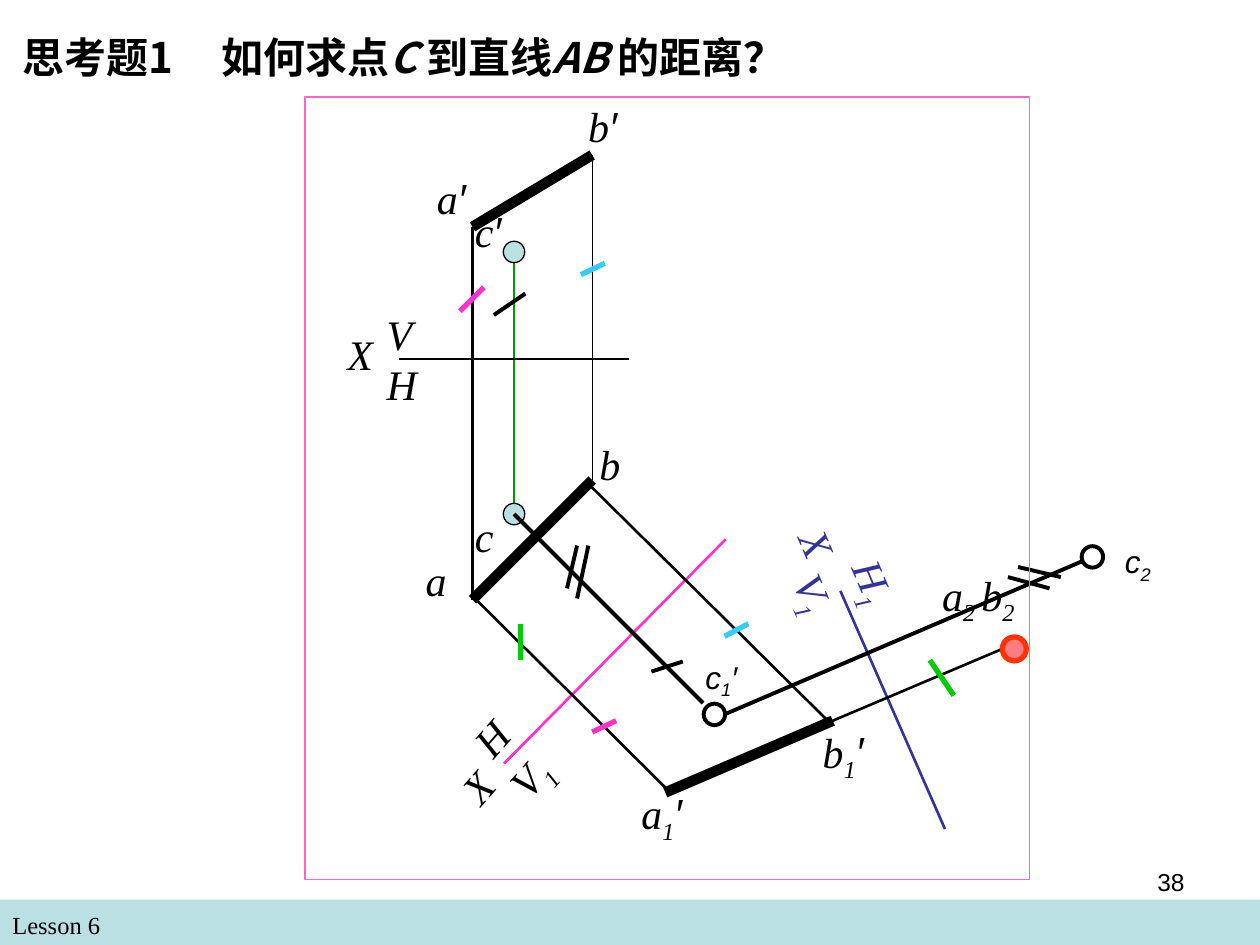
from itertools import groupby

from lxml import etree
from pptx import Presentation
from pptx.dml.color import RGBColor
from pptx.enum.shapes import MSO_CONNECTOR, MSO_SHAPE
from pptx.enum.text import MSO_ANCHOR, PP_ALIGN
from pptx.oxml.ns import qn
from pptx.util import Inches, Pt

STRAIGHT = MSO_CONNECTOR.STRAIGHT
OVAL, RECTANGLE = MSO_SHAPE.OVAL, MSO_SHAPE.RECTANGLE
TOP, LEFT, RIGHT = MSO_ANCHOR.TOP, PP_ALIGN.LEFT, PP_ALIGN.RIGHT
TITLE_ONLY = 5

COLORS = {
    "black": "000000", "white": "FFFFFF", "pale": "BBE0E3", "projector": "009900",
    "navy": "333399", "magenta": "FF33CC", "frame": "FF66CC", "cyan": "33CCFF",
    "green": "00CC00", "red": "FF3300", "pink": "FF7C80",
}
SERIF, SANS, CJK = "Times New Roman", "Arial", "Noto Sans CJK SC"


def rgb(color):
    return RGBColor.from_string(COLORS[color])


def add_run(paragraph, text, size, font, color="black", bold=False, italic=False):
    run = paragraph.add_run()
    run.text = text
    run.font.size, run.font.name = Pt(size), font
    run.font.bold, run.font.italic = bold, italic
    run.font.color.rgb = rgb(color)
    return run


def add_text_box(slide, left, top, width, height):
    text_box = slide.shapes.add_textbox(
        Inches(left), Inches(top), Inches(width), Inches(height))
    text_box.text_frame.word_wrap = True
    return text_box


def add_label(slide, box, at, text, width=0.9, color="black", angle=0,
              size=24, font=SERIF):
    """Italic point or plane name; digits become subscripts."""
    height = 0.44 if size < 24 else 0.56 if any(map(str.isdigit, text)) else 0.5
    label = add_text_box(slide, box[0] + at[0], box[1] + at[1], width, height)
    label.rotation = angle
    paragraph = label.text_frame.paragraphs[0]

    def role(char):
        return "sub" if char.isdigit() or char == " " else "prime" if char == "′" else "name"

    for kind, chars in groupby(text, role):
        run = add_run(paragraph, "".join(chars), size,
                      SANS if kind == "prime" else font, color, italic=True)
        if kind == "sub":
            run.font._element.set("baseline", "-25000")


def add_line(slide, box, start, end, color="black", weight=1.5):
    (x1, y1), (x2, y2) = start, end
    line = slide.shapes.add_connector(
        STRAIGHT, Inches(box[0] + x1), Inches(box[1] + y1),
        Inches(box[0] + x2), Inches(box[1] + y2))
    line.line.color.rgb, line.line.width = rgb(color), Pt(weight)
    etree.SubElement(line._element.spPr, qn("a:effectLst"))


def add_lines(slide, box, lines):
    for line in lines:
        add_line(slide, box, *line)


def add_outline(slide, kind, left, top, width, height, fill=None, line=None, weight=0.75):
    shape = slide.shapes.add_shape(
        kind, Inches(left), Inches(top), Inches(width), Inches(height))
    shape.shadow.inherit = False
    if fill:
        shape.fill.solid()
        shape.fill.fore_color.rgb = rgb(fill)
    else:
        shape.fill.background()
    if line:
        shape.line.color.rgb, shape.line.width = rgb(line), Pt(weight)
    else:
        shape.line.fill.background()


def add_point(slide, box, center, fill=None, line="black", weight=2.25, size=0.17):
    add_outline(slide, OVAL, box[0] + center[0] - size / 2,
                box[1] + center[1] - size / 2, size, size, fill, line, weight)


def add_heading(slide, left, top, width, height):
    title = slide.shapes.title
    title.left, title.top = Inches(left), Inches(top)
    title.width, title.height = Inches(width), Inches(height)
    frame = title.text_frame
    frame.word_wrap, frame.vertical_anchor = True, TOP
    paragraph = frame.paragraphs[0]
    paragraph.alignment = LEFT
    tabs = etree.SubElement(paragraph._p.get_or_add_pPr(), qn("a:tabLst"))
    etree.SubElement(tabs, qn("a:tab"), pos=str(Inches(1.58)), algn="l")
    for text, italic in (("思考题1\t如何求点", False), ("C ", True), ("到直线", False),
                         ("AB ", True), ("的距离？", False)):
        run = add_run(paragraph, text, 24, CJK, bold=True, italic=italic)
        etree.SubElement(run.font._element, qn("a:ea"), typeface=CJK)


def add_footer(slide, left, top, width, height):
    add_outline(slide, RECTANGLE, left, top, width, height, "pale")
    lesson = add_text_box(slide, left, top + 0.03, 4.83, 0.34)
    add_run(lesson.text_frame.paragraphs[0], "Lesson 6", 14, SERIF)
    number = add_text_box(slide, left + 7.17, top - 0.31, 2.33, 0.52)
    paragraph = number.text_frame.paragraphs[0]
    paragraph.alignment = RIGHT
    add_run(paragraph, "38", 14, SANS)


def add_principal_views(slide, box):
    a_front, b_front, c_front = (1.25, 1.05), (2.2, 0.48), (1.58, 1.25)
    a_top, b_top, c_top = (1.25, 4.01), (2.2, 3.06), (1.58, 3.33)
    # Projectors, axis and line AB
    add_line(slide, box, c_top, c_front, "projector", 0.75)
    for c_view in (c_top, c_front):
        add_point(slide, box, c_view, "pale", weight=0.75)
    add_lines(slide, box, [
        (a_front, a_top), (b_top, b_front, "black", 0.75),
        ((0.67, 2.1), (2.49, 2.1)),
        (a_front, b_front, "black", 6), (a_top, b_top, "black", 6),
        # Equal-distance ticks
        ((1.34, 1.53), (1.15, 1.72), "magenta", 3),
        ((2.11, 1.43), (2.3, 1.34), "cyan", 3),
        ((1.42, 1.75), (1.67, 1.58), "black", 2.25),
    ])
    for text, at in (("a′", (0.87, 0.57)), ("b′", (2.07, 0)), ("c′", (1.17, 0.83)),
                     ("a", (0.78, 3.6)), ("b", (2.16, 2.68)), ("c", (1.17, 3.25)),
                     ("X", (0.16, 1.81)), ("V", (0.47, 1.65)), ("H", (0.47, 2.05))):
        add_label(slide, box, at, text)


def add_first_auxiliary_view(slide, box):
    c1 = (2.17, 1.92)
    add_lines(slide, box, [
        # Axis, projectors and line AB
        ((0.5, 2.31), (2.26, 0.53), "magenta"),
        ((0.24, 0.97), (1.8, 2.52)), ((1.19, 0.11), (3.08, 1.98)),
        ((3.11, 1.97), (1.78, 2.54), "black", 6),
        ((0.58, 0.33), (2.08, 1.83), "black", 2.25),
        # Equal-distance ticks
        ((1.39, 1.97), (1.2, 2.06), "magenta", 3),
        ((2.25, 1.3), (2.44, 1.2), "cyan", 3),
        ((0.63, 1.2), (0.63, 1.49), "green", 3),
        ((1.67, 1.58), (1.92, 1.5), "black", 2.25),
        ((1, 0.92), (1.08, 0.58), "black", 2.25),
        ((1.17, 0.58), (1.08, 1), "black", 2.25),
    ])
    add_point(slide, box, c1)
    for text, at, width, angle in (
            ("X", (0.04, 2.14), 0.67, 311.3), ("H", (0.15, 1.8), 0.59, 311.3),
            ("V1", (0.4, 1.99), 0.93, 311.3), ("a1′", (1.49, 2.45), 0.96, 359.4),
            ("b1′", (2.93, 1.96), 0.95, 359.4)):
        add_label(slide, box, at, text, width, angle=angle)
    add_label(slide, box, (2, 1.42), "c1′", 0.7, size=18, font=SANS)


def add_second_auxiliary_view(slide, box):
    ab2, c2 = (2.55, 1.15), (3.17, 0.42)
    add_lines(slide, box, [
        # Axis and projectors
        ((1.17, 0.69), (2, 2.58), "navy"),
        ((1.11, 1.72), (2.55, 1.11)),
        ((0.25, 1.67), c2, "black", 2.25),
        # Equal-distance ticks
        ((1.88, 1.24), (2.07, 1.52), "green", 3),
        ((2.5, 0.58), (2.83, 0.67), "black", 2.25),
        ((2.58, 0.5), (2.92, 0.58), "black", 2.25),
    ])
    add_point(slide, box, ab2, "pink", "red", 3, 0.19)
    add_point(slide, box, c2, "white")
    for text, at, width in (("X", (0.71, 0.19), 0.67), ("H1", (1.08, 0.45), 0.76),
                            ("V1", (0.58, 0.61), 0.87)):
        add_label(slide, box, at, text, width, "navy", 67.1)
    add_label(slide, box, (1.88, 0.47), "a2 b2", 1.34)
    add_label(slide, box, (3.33, 0.25), "c2", 0.58, size=18, font=SANS)


def main():
    deck = Presentation()
    deck.slide_width, deck.slide_height = Inches(10), Inches(7.5)
    slide = deck.slides.add_slide(deck.slide_layouts[TITLE_ONLY])
    add_footer(slide, 0, 7.14, 10, 0.36)
    add_principal_views(slide, (2.5, 0.75))
    add_first_auxiliary_view(slide, (3.5, 3.75))
    add_second_auxiliary_view(slide, (5.5, 4))
    add_outline(slide, RECTANGLE, 2.42, 0.77, 5.75, 6.21, line="frame")
    add_heading(slide, 0.08, 0.2, 6.84, 0.5)
    deck.save("out.pptx")


if __name__ == "__main__":
    main()
